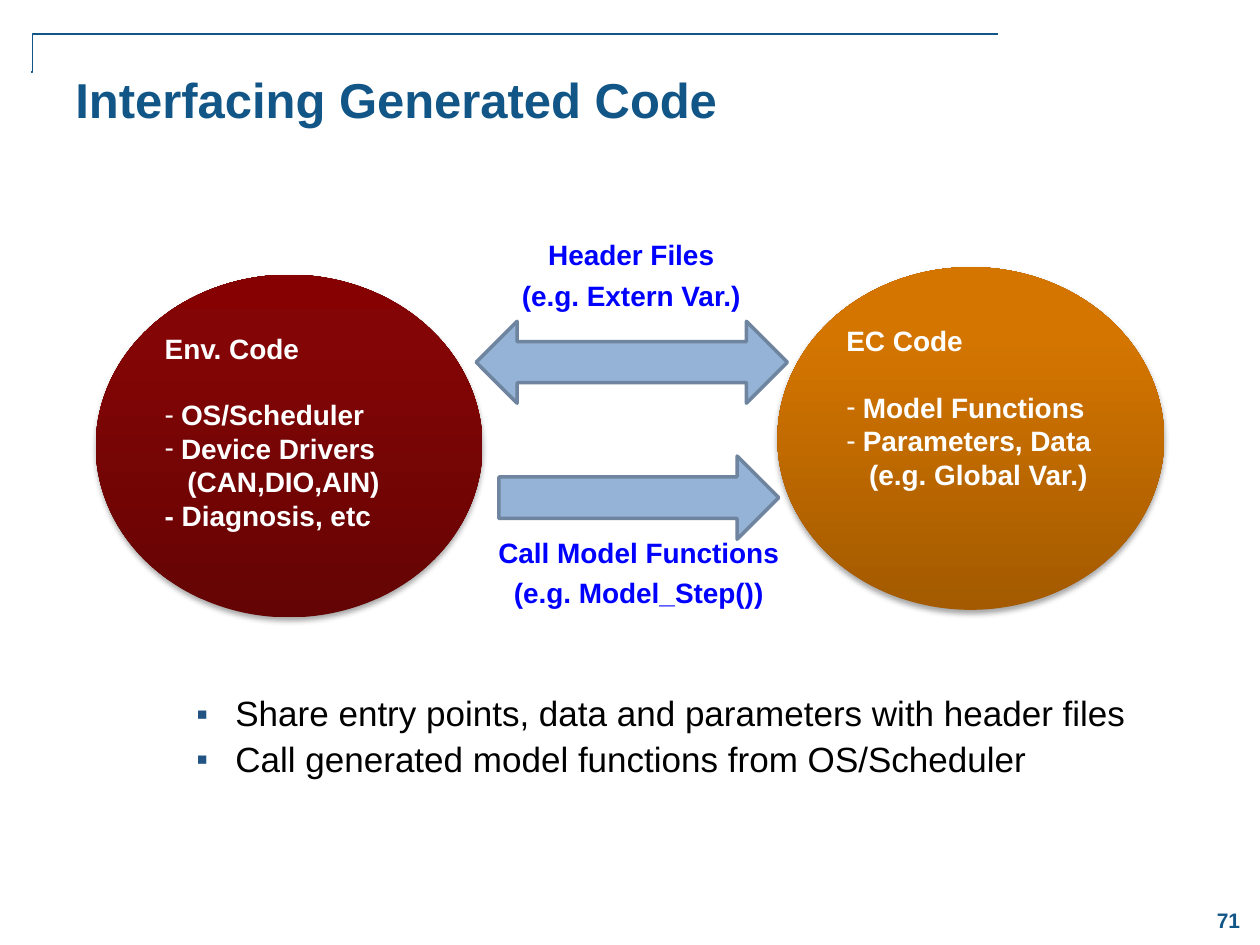
from lxml import etree
from pptx import Presentation
from pptx.dml.color import RGBColor
from pptx.enum.shapes import MSO_CONNECTOR, MSO_SHAPE
from pptx.enum.text import MSO_ANCHOR, PP_ALIGN
from pptx.oxml import parse_xml
from pptx.oxml.ns import nsdecls, qn
from pptx.util import Inches, Pt

ELBOW = MSO_CONNECTOR.ELBOW
ELLIPSE = MSO_SHAPE.OVAL
TWO_WAY_ARROW = MSO_SHAPE.LEFT_RIGHT_ARROW
RIGHT_ARROW = MSO_SHAPE.RIGHT_ARROW
TOP, MIDDLE = MSO_ANCHOR.TOP, MSO_ANCHOR.MIDDLE
LEFT, CENTER = PP_ALIGN.LEFT, PP_ALIGN.CENTER

TEAL = RGBColor(0x12, 0x56, 0x87)
BULLET_BLUE = RGBColor(0x21, 0x53, 0x83)
LABEL_BLUE = RGBColor(0x00, 0x00, 0xFF)
ARROW_FILL = RGBColor(0x95, 0xB3, 0xD7)
ARROW_LINE = RGBColor(0x6E, 0x84, 0x9F)
WHITE = RGBColor(0xFF, 0xFF, 0xFF)
BLACK = RGBColor(0x00, 0x00, 0x00)
RED_STOPS = {0: RGBColor(0x65, 0x04, 0x04), 80: RGBColor(0x83, 0x05, 0x05), 100: RGBColor(0x86, 0x02, 0x02)}
ORANGE_STOPS = {0: RGBColor(0xA3, 0x5A, 0x00), 80: RGBColor(0xD4, 0x75, 0x00), 100: RGBColor(0xD5, 0x76, 0x00)}


def write_lines(text_frame, lines, size, color, bold=True, align=LEFT, anchor=TOP):
    """Fill a text frame with one formatted paragraph per line."""
    text_frame.word_wrap = True
    text_frame.vertical_anchor = anchor
    text_frame.text = "\n".join(lines)
    for paragraph in text_frame.paragraphs:
        paragraph.alignment = align
        for run in paragraph.runs:
            run.font.name = "Arial"
            run.font.size = Pt(size)
            run.font.bold = bold
            run.font.color.rgb = color
    return text_frame.paragraphs


def add_text(slide, box, lines, size, color, **style):
    """Add a text box and return its paragraphs."""
    text_box = slide.shapes.add_textbox(*map(Inches, box))
    return write_lines(text_box.text_frame, lines, size, color, **style)


def indent_paragraph(paragraph, margin, bullet=None, color=None):
    """Indent a paragraph, hanging a bullet in the margin if one is given."""
    properties = paragraph._p.get_or_add_pPr()
    properties.set("marL", str(Inches(margin)))
    if not bullet:
        return
    properties.set("indent", str(-Inches(margin)))
    if color is not None:
        bullet_color = etree.SubElement(properties, qn("a:buClr"))
        etree.SubElement(bullet_color, qn("a:srgbClr"), val=str(color))
        etree.SubElement(properties, qn("a:buSzPct"), val="95000")
    etree.SubElement(properties, qn("a:buFont"), typeface="Arial")
    etree.SubElement(properties, qn("a:buChar"), char=bullet)


def add_corner_rule(slide, box):
    """Draw the thin rule that turns down at the left of the box."""
    left, top, width, height = box
    rule = slide.shapes.add_connector(
        ELBOW, Inches(left + width), Inches(top), Inches(left), Inches(top + height))
    rule.line.color.rgb = TEAL
    rule.line.width = Pt(1)
    properties = rule._element.spPr
    etree.SubElement(properties, qn("a:effectLst"))
    adjustments = properties.find(qn("a:prstGeom")).get_or_add_avLst()
    etree.SubElement(adjustments, qn("a:gd"), name="adj1", fmla="val 99900")


def add_code_ellipse(slide, box, stops, heading, items):
    """Add a shaded ellipse with a heading and (text, margin, bullet) items."""
    ellipse = slide.shapes.add_shape(ELLIPSE, *map(Inches, box))
    ellipse.line.fill.background()
    ellipse.shadow.inherit = False
    properties = ellipse._element.spPr
    stop_xml = "".join(
        f'<a:gs pos="{position * 1000}"><a:srgbClr val="{color}"/></a:gs>'
        for position, color in stops.items())
    properties.insert(2, parse_xml(
        f'<a:gradFill {nsdecls("a")} rotWithShape="1"><a:gsLst>{stop_xml}</a:gsLst>'
        '<a:lin ang="16200000" scaled="0"/></a:gradFill>'))
    properties.find(qn("a:effectLst")).append(parse_xml(
        f'<a:outerShdw {nsdecls("a")} blurRad="{Pt(3.1)}" dist="{Pt(1.8)}" dir="5400000" '
        'rotWithShape="0"><a:srgbClr val="000000"><a:alpha val="35000"/></a:srgbClr></a:outerShdw>'))
    lines = [heading] + [text for text, _, _ in items]
    paragraphs = write_lines(ellipse.text_frame, lines, 16, WHITE)
    paragraphs[0].space_after = Pt(19)
    for paragraph, (_, margin, bullet) in zip(paragraphs[1:], items):
        indent_paragraph(paragraph, margin, bullet)


def add_block_arrow(slide, box, kind):
    """Add an outlined block arrow."""
    arrow = slide.shapes.add_shape(kind, *map(Inches, box))
    arrow.shadow.inherit = False
    arrow.fill.solid()
    arrow.fill.fore_color.rgb = ARROW_FILL
    arrow.line.color.rgb = ARROW_LINE
    arrow.line.width = Pt(2)


def add_arrow_label(slide, box, lines):
    """Add a centred two-line label for an arrow."""
    paragraphs = add_text(slide, box, lines, 16, LABEL_BLUE, align=CENTER)
    for paragraph in paragraphs[1:]:
        paragraph.space_before = Pt(3.8)


def add_summary(slide, box, lines):
    """Add the bulleted summary."""
    paragraphs = add_text(slide, box, lines, 20, BLACK, bold=False)
    for paragraph in paragraphs:
        paragraph.line_spacing = 0.9
        indent_paragraph(paragraph, 0.31, "▪", BULLET_BLUE)
    for paragraph in paragraphs[1:]:
        paragraph.space_before = Pt(4.6)


def main():
    """Build the slide and save it."""
    presentation = Presentation()
    presentation.slide_width, presentation.slide_height = Inches(10), Inches(7.5)
    slide = presentation.slides.add_slide(presentation.slide_layouts[6])
    add_corner_rule(slide, (0.25, 0.27, 7.67, 0.3))
    add_text(slide, (9.5, 7.09, 0.5, 0.42), ["71"], 12, TEAL, align=CENTER, anchor=MIDDLE)
    add_text(slide, (0.5, 0.5, 8.83, 1.08), ["Interfacing Generated Code"], 28, TEAL)
    add_code_ellipse(slide, (0.76, 2.18, 3.07, 2.72), RED_STOPS, "Env. Code", [
        ("OS/Scheduler", 0.13, "-"),
        ("Device Drivers", 0.13, "-"),
        ("(CAN,DIO,AIN)", 0.18, None),
        ("- Diagnosis, etc", 0, None),
    ])
    add_code_ellipse(slide, (6.17, 2.12, 3.07, 2.72), ORANGE_STOPS, "EC Code", [
        ("Model Functions", 0.13, "-"),
        ("Parameters, Data", 0.13, "-"),
        ("(e.g. Global Var.)", 0.18, None),
    ])
    add_block_arrow(slide, (3.78, 2.55, 2.47, 0.65), TWO_WAY_ARROW)
    add_arrow_label(slide, (2.96, 1.84, 4.1, 0.36), ["Header Files", "(e.g. Extern Var.)"])
    add_block_arrow(slide, (3.96, 3.62, 2.22, 0.66), RIGHT_ARROW)
    add_arrow_label(slide, (3.02, 4.2, 4.1, 0.36), ["Call Model Functions", "(e.g. Model_Step())"])
    add_summary(slide, (1.46, 5.48, 7.85, 1.02), [
        "Share entry points, data and parameters with header files",
        "Call generated model functions from OS/Scheduler",
    ])
    presentation.save("out.pptx")


if __name__ == "__main__":
    main()
